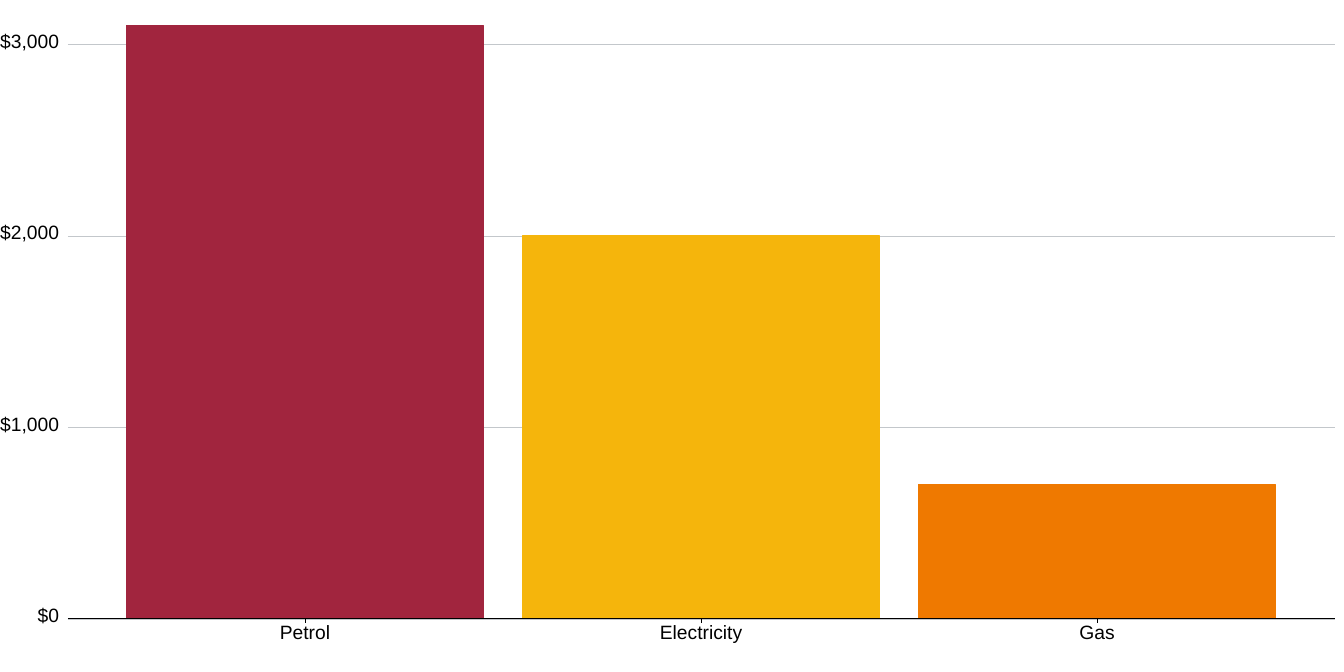
from dataclasses import dataclass

from lxml import etree
from pptx import Presentation
from pptx.chart.chart import Chart
from pptx.chart.data import CategoryChartData
from pptx.dml.color import RGBColor
from pptx.enum.chart import XL_CHART_TYPE, XL_TICK_LABEL_POSITION, XL_TICK_MARK
from pptx.enum.shapes import MSO_CONNECTOR
from pptx.enum.text import MSO_ANCHOR, PP_ALIGN
from pptx.oxml import parse_xml
from pptx.oxml.ns import nsdecls, qn
from pptx.slide import Slide
from pptx.util import Cm, Length, Pt

COLUMNS = XL_CHART_TYPE.COLUMN_CLUSTERED
NO_LABELS = XL_TICK_LABEL_POSITION.NONE
NO_TICKS = XL_TICK_MARK.NONE
STRAIGHT = MSO_CONNECTOR.STRAIGHT
MIDDLE = MSO_ANCHOR.MIDDLE
RIGHT = PP_ALIGN.RIGHT

BLACK = RGBColor(0x00, 0x00, 0x00)
GRID_GREY = RGBColor(0xC3, 0xC7, 0xCB)
CRIMSON = RGBColor(0xA1, 0x25, 0x3E)
AMBER = RGBColor(0xF5, 0xB5, 0x0C)
ORANGE = RGBColor(0xEF, 0x79, 0x00)

FONT, FONT_SIZE = "Arial", Pt(18)
SLIDE_WIDTH, SLIDE_HEIGHT = Cm(44.32), Cm(22.15)
GRID_LEFT, GRID_RIGHT = Cm(2.24), Cm(44.02)
BASELINE = Cm(20.4)
THOUSAND = Cm(6.31)
SCALE_TOP = 3200
COLUMN_STEP = Cm(13.06)
COLUMNS_LEFT = Cm(3.53)
TICK_LENGTH = Cm(0.15)
LABEL_WIDTH, LABEL_HEIGHT, LABEL_RISE = Cm(1.95), Cm(0.58), Cm(0.36)


@dataclass(frozen=True)
class EnergyCost:
    source: str
    dollars: int
    color: RGBColor


ENERGY_COSTS = [
    EnergyCost("Petrol", 3100, CRIMSON),
    EnergyCost("Electricity", 2000, AMBER),
    EnergyCost("Gas", 700, ORANGE),
]


def add_line(slide: Slide, x1: Length, y1: Length, x2: Length, y2: Length,
             color: RGBColor, width: Length) -> None:
    connector = slide.shapes.add_connector(STRAIGHT, x1, y1, x2, y2)
    connector.line.color.rgb = color
    connector.line.width = width
    etree.SubElement(connector._element.spPr, qn("a:effectLst"))


def add_text(slide: Slide, text: str, left: Length, top: Length, width: Length,
             height: Length, *, color: RGBColor = BLACK, align: PP_ALIGN = RIGHT) -> None:
    frame = slide.shapes.add_textbox(left, top, width, height).text_frame
    frame.margin_left = frame.margin_right = frame.margin_top = frame.margin_bottom = 0
    frame.vertical_anchor = MIDDLE
    frame.word_wrap = True
    paragraph = frame.paragraphs[0]
    paragraph.text = text
    paragraph.alignment = align
    paragraph.line_spacing = FONT_SIZE
    paragraph.font.name = FONT
    paragraph.font.size = FONT_SIZE
    paragraph.font.color.rgb = color


def add_dollar_scale(slide: Slide) -> None:
    for thousands in range(4):
        y = BASELINE - thousands * THOUSAND
        add_line(slide, GRID_LEFT, y, GRID_RIGHT, y, GRID_GREY, Pt(0.37))
        add_text(slide, f"${thousands * 1000:,}", 0, y - LABEL_RISE, LABEL_WIDTH, LABEL_HEIGHT)


def add_baseline(slide: Slide) -> None:
    add_line(slide, GRID_LEFT, BASELINE, GRID_RIGHT, BASELINE, BLACK, Pt(0.75))
    for index in range(len(ENERGY_COSTS)):
        x = COLUMNS_LEFT + index * COLUMN_STEP + COLUMN_STEP // 2
        add_line(slide, x, BASELINE, x, BASELINE + TICK_LENGTH, BLACK, Pt(0.56))


def clear_background(chart: Chart) -> None:
    """Let the gridlines behind the chart show through."""
    clear = f'<c:spPr {nsdecls("c", "a")}><a:noFill/><a:ln><a:noFill/></a:ln></c:spPr>'
    chart._chartSpace.find(qn("c:chart")).addnext(parse_xml(clear))
    chart.plots[0]._element.getparent().append(parse_xml(clear))


def place_plot(chart: Chart, left: Length, top: Length, width: Length, height: Length) -> None:
    """Fix the inner plot area, given in lengths on the slide."""
    plot_area = chart.plots[0]._element.getparent()
    for old_layout in plot_area.findall(qn("c:layout")):
        plot_area.remove(old_layout)
    layout = etree.Element(qn("c:layout"))
    manual = etree.SubElement(layout, qn("c:manualLayout"))
    settings = {
        "layoutTarget": "inner",
        "xMode": "edge",
        "yMode": "edge",
        "x": left / SLIDE_WIDTH,
        "y": top / SLIDE_HEIGHT,
        "w": width / SLIDE_WIDTH,
        "h": height / SLIDE_HEIGHT,
    }
    for tag, value in settings.items():
        etree.SubElement(manual, qn(f"c:{tag}")).set("val", str(value))
    plot_area.insert(0, layout)


def color_columns(chart: Chart) -> None:
    plot = chart.plots[0]
    plot.gap_width = 11
    plot.vary_by_categories = False
    for index, cost in enumerate(ENERGY_COSTS):
        column = plot.series[0].points[index].format
        column.fill.solid()
        column.fill.fore_color.rgb = cost.color
        column.line.color.rgb = cost.color
        column.line.width = Pt(1.07)


def format_axes(chart: Chart) -> None:
    dollars = chart.value_axis
    for axis in (dollars, chart.category_axis):
        axis.major_tick_mark = NO_TICKS
        axis.minor_tick_mark = NO_TICKS
        axis.has_major_gridlines = False
        axis.format.line.fill.background()
    dollars.minimum_scale = 0
    dollars.maximum_scale = SCALE_TOP
    dollars.tick_label_position = NO_LABELS


def add_cost_columns(slide: Slide) -> None:
    spending = CategoryChartData()
    spending.categories = [cost.source for cost in ENERGY_COSTS]
    spending.add_series("Cost", [cost.dollars for cost in ENERGY_COSTS])
    chart = slide.shapes.add_chart(
        COLUMNS, 0, 0, SLIDE_WIDTH, SLIDE_HEIGHT, spending
    ).chart
    chart.has_title = False
    chart.has_legend = False
    chart.font.name = FONT
    chart.font.size = FONT_SIZE
    chart.font.color.rgb = BLACK
    color_columns(chart)
    format_axes(chart)
    clear_background(chart)
    plot_height = THOUSAND * SCALE_TOP // 1000
    place_plot(chart, COLUMNS_LEFT, BASELINE - plot_height,
               COLUMN_STEP * len(ENERGY_COSTS), plot_height)


def main() -> None:
    presentation = Presentation()
    presentation.slide_width = SLIDE_WIDTH
    presentation.slide_height = SLIDE_HEIGHT
    slide = presentation.slides.add_slide(presentation.slide_layouts[6])
    add_dollar_scale(slide)
    add_cost_columns(slide)
    add_baseline(slide)
    presentation.save("out.pptx")


if __name__ == "__main__":
    main()
